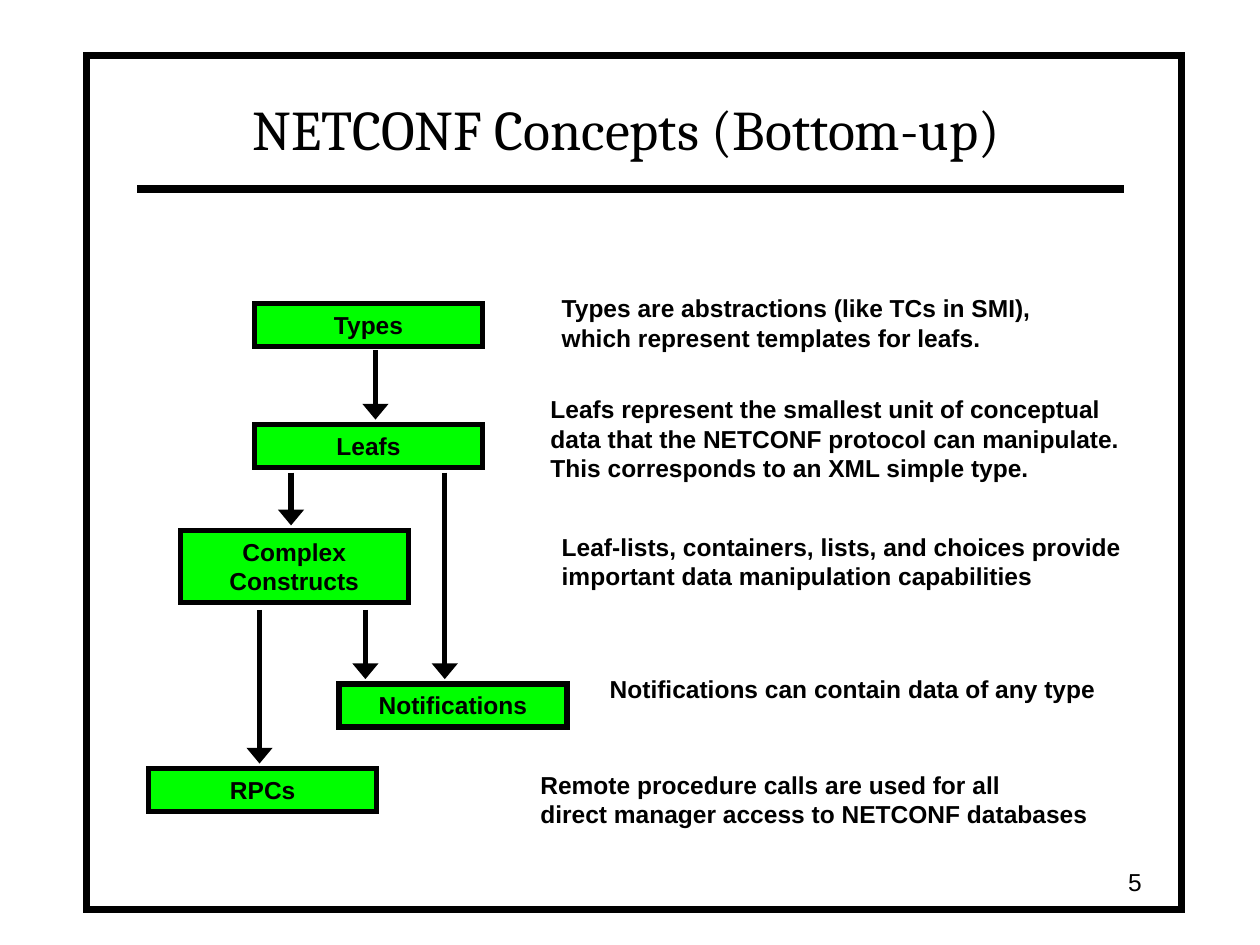
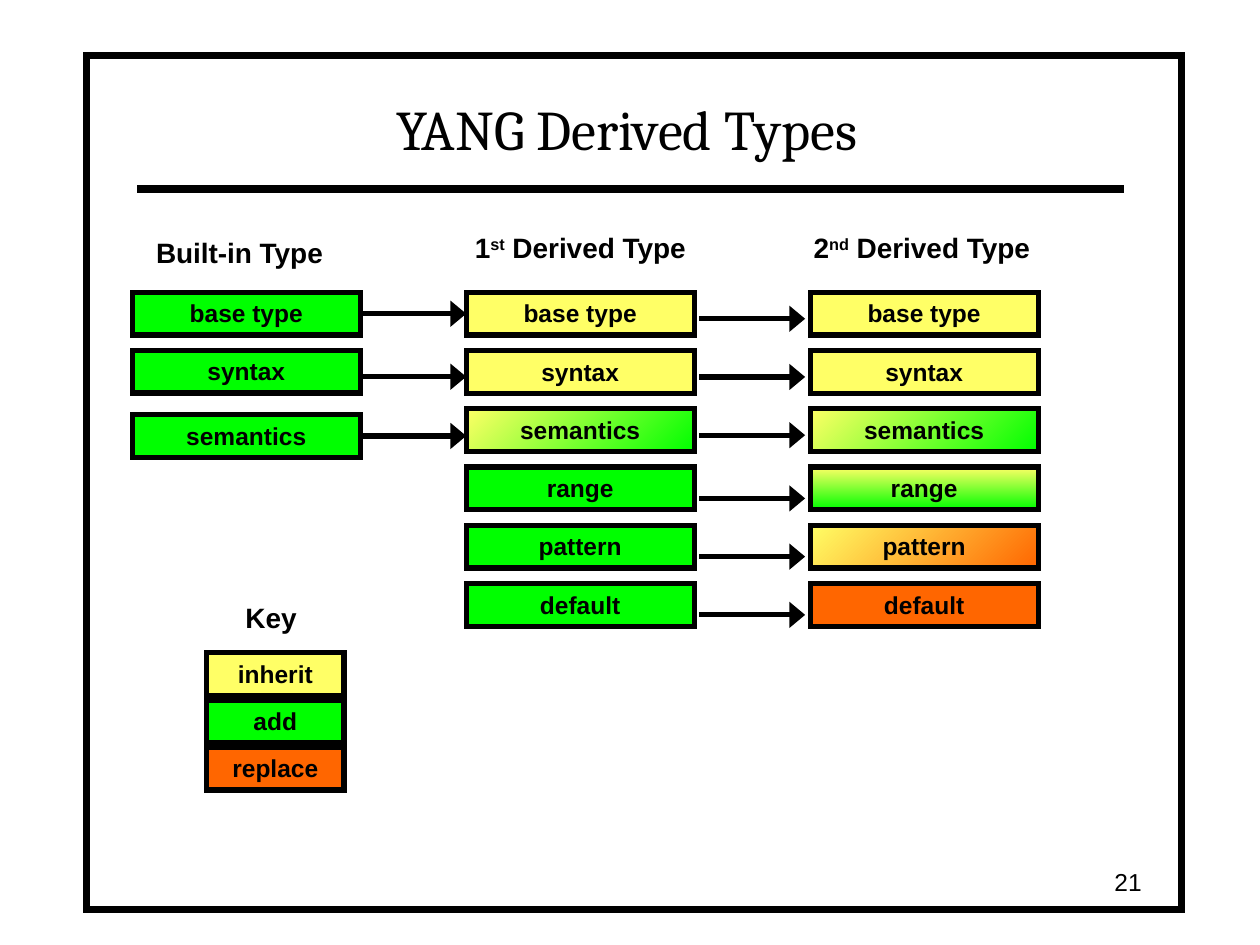
"""Build two slides on NETCONF concepts and YANG derived types."""
import lxml.etree
import pptx
import pptx.dml.color
import pptx.enum.shapes
import pptx.enum.text
import pptx.oxml.ns
import pptx.util

Inches = pptx.util.Inches
Pt = pptx.util.Pt
qn = pptx.oxml.ns.qn
PP_ALIGN = pptx.enum.text.PP_ALIGN
ANCHOR = pptx.enum.text.MSO_ANCHOR
AUTO_SIZE = pptx.enum.text.MSO_AUTO_SIZE
RECT = pptx.enum.shapes.MSO_SHAPE.RECTANGLE
STRAIGHT = pptx.enum.shapes.MSO_CONNECTOR.STRAIGHT
COLORS = {"black": "000000", "white": "FFFFFF", "add": "00FF00",
          "inherit": "FFFF66", "replace": "FF6600"}
RGB = {k: pptx.dml.color.RGBColor.from_string(v) for k, v in COLORS.items()}


def put(s, text, x, y, w, h, sp=None, fill=None, angle=0, line=3, size=14,
        font="Arial", bold=True, align=None, anchor=ANCHOR.TOP):
    """Place text in a box; ^ toggles superscript, a pair of fills makes a gradient."""
    at = [Inches(v) for v in (x, y, w, h)]
    if sp is not None:
        sp.left, sp.top, sp.width, sp.height = at
    elif fill:
        sp = s.shapes.add_shape(RECT, *at)
        sp.shadow.inherit = False
        sp.line.color.rgb = RGB["black"]
        sp.line.width = Pt(line)
        lxml.etree.SubElement(sp.line._get_or_add_ln(), qn("a:miter"), lim="800000")
        if isinstance(fill, tuple):
            sp.fill.gradient()
            sp.fill.gradient_angle = angle
            for stop, name in zip(sp.fill.gradient_stops, fill):
                stop.color.rgb = RGB[name]
        else:
            sp.fill.solid()
            sp.fill.fore_color.rgb = RGB[fill]
        align = PP_ALIGN.CENTER
    else:
        sp = s.shapes.add_textbox(*at)
    tf = sp.text_frame
    tf.word_wrap = True
    tf.auto_size = AUTO_SIZE.NONE
    tf.vertical_anchor = anchor
    p = tf.paragraphs[0]
    p.alignment = align
    for i, line_text in enumerate(text.split("\n")):
        if i:
            p.add_line_break()
        for j, part in enumerate(line_text.split("^")):
            if not part:
                continue
            r = p.add_run()
            r.text = part
            r.font.name, r.font.size, r.font.bold = font, Pt(size), bold
            r.font.color.rgb = RGB["black"]
            if j % 2:
                r.font._element.set("baseline", "30000")
    for br in p._p.findall(qn("a:br")):
        lxml.etree.SubElement(br, qn("a:rPr"), sz=str(size * 100))
    return sp


def connect(s, x1, y1, x2, y2, width=3, arrow=True):
    """Draw a straight line, with an arrowhead at its end if asked."""
    c = s.shapes.add_connector(STRAIGHT, *[Inches(v) for v in (x1, y1, x2, y2)])
    c.line.color.rgb = RGB["black"]
    c.line.width = Pt(width)
    if arrow:
        lxml.etree.SubElement(c.line._get_or_add_ln(), qn("a:tailEnd"),
                              type="triangle", w="lg", len="med")
    lxml.etree.SubElement(c._element.spPr, qn("a:effectLst"))
    return c


prs = pptx.Presentation()
prs.slide_width, prs.slide_height = Inches(10), Inches(7.5)
slides = []
for title, number in [("NETCONF Concepts (Bottom-up)", "5"), ("YANG Derived Types", "21")]:
    s = prs.slides.add_slide(prs.slide_layouts[5])
    put(s, "", 0.69, 0.44, 8.69, 6.78, fill="white", line=4)
    connect(s, 1.09, 1.5, 8.92, 1.5, width=4.5, arrow=False)
    s.shapes.element.append(s.shapes.title.element)
    put(s, title, 1.08, 0.58, 7.79, 0.75, sp=s.shapes.title, size=32, font="Cambria",
        bold=False, align=PP_ALIGN.CENTER, anchor=ANCHOR.BOTTOM)
    put(s, number, 7.08, 6.83, 2.08, 0.33, bold=False, align=PP_ALIGN.RIGHT,
        anchor=ANCHOR.MIDDLE)
    slides.append(s)
concepts, derived = slides

BOX_W, BOX_H = 1.81, 0.34
for name, x, y, h in [("Types", 2.02, 2.41, BOX_H), ("Leafs", 2.02, 3.37, BOX_H),
                      ("Complex Constructs", 1.43, 4.21, 0.57),
                      ("Notifications", 2.69, 5.43, BOX_H), ("RPCs", 1.18, 6.1, BOX_H)]:
    put(concepts, name, x, y, BOX_W, h, fill="add")

for x, top, bottom in [(2.98, 2.78, 3.33), (2.31, 3.75, 4.17), (3.53, 3.75, 5.39),
                       (2.06, 4.84, 6.06), (2.9, 4.84, 5.39)]:
    connect(concepts, x, top, x, bottom)

for text, x, y, w, h in [
    ("Types are abstractions (like TCs in SMI),\nwhich represent templates for leafs.",
     4.36, 2.28, 4.04, 0.57),
    ("Leafs represent the smallest unit of conceptual\n"
     "data that the NETCONF protocol can manipulate.\n"
     "This corresponds to an XML simple type.", 4.27, 3.08, 4.82, 0.8),
    ("Leaf-lists, containers, lists, and choices provide\n"
     "important data manipulation capabilities", 4.36, 4.17, 4.74, 0.57),
    ("Notifications can contain data of any type", 4.74, 5.3, 4.15, 0.34),
    ("Remote procedure calls are used for all\n"
     "direct manager access to NETCONF databases", 4.19, 6.06, 4.7, 0.57),
]:
    put(concepts, text, x, y, w, h)

for text, x, y, w in [("Built-in Type", 1.14, 1.82, 1.64),
                      ("1^st^ Derived Type", 3.67, 1.78, 1.99),
                      ("2^nd^ Derived Type", 6.36, 1.78, 2.03), ("Key", 1.85, 4.72, 0.7)]:
    put(derived, text, x, y, w, 0.37, size=16)

BUILT_X, FIRST_X, SECOND_X = 1.05, 3.7, 6.43
built_tops = [2.32, 2.78, 3.29]
built_arrows = [2.49, 2.99, 3.46]
blend = ("add", "inherit")
rows = [("base type", "inherit", "inherit", 135), ("syntax", "inherit", "inherit", 135),
        ("semantics", blend, blend, 135), ("range", "add", ("inherit", "add"), 270),
        ("pattern", "add", ("replace", "inherit"), 135), ("default", "add", "replace", 135)]
for i, (name, first_fill, second_fill, angle) in enumerate(rows):
    y = 2.32 + i * 2.31 / 5
    first = put(derived, name, FIRST_X, y, BOX_W, BOX_H, fill=first_fill, angle=135)
    put(derived, name, SECOND_X, y, BOX_W, BOX_H, fill=second_fill, angle=angle)
    arrow_y = y + (0.21 if i < 3 else 0.25)
    connect(derived, 5.55, arrow_y, 6.39, arrow_y)
    if i < len(built_tops):
        built = put(derived, name, BUILT_X, built_tops[i], BOX_W, BOX_H, fill="add")
        arrow = connect(derived, BUILT_X + BOX_W, built_arrows[i], FIRST_X, built_arrows[i])
        if abs(built_tops[i] + BOX_H / 2 - built_arrows[i]) < 0.01:
            arrow.begin_connect(built, 3)
        if abs(y + BOX_H / 2 - built_arrows[i]) < 0.01:
            arrow.end_connect(first, 1)

for i, name in enumerate(["inherit", "add", "replace"]):
    put(derived, name, 1.64, 5.18 + i * 0.75 / 2, 1.09, BOX_H, fill=name)

prs.save("out.pptx")
